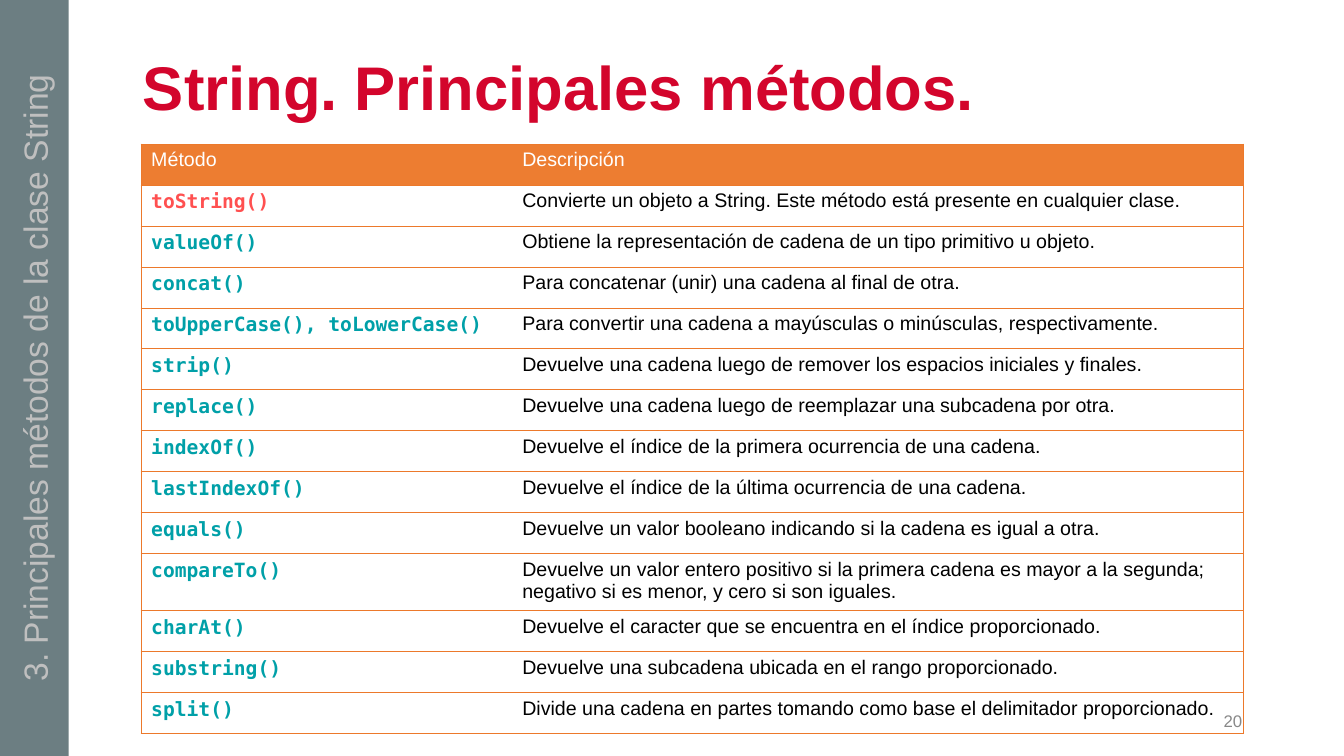
from pptx import Presentation
from pptx.dml.color import RGBColor
from pptx.enum.shapes import MSO_SHAPE
from pptx.enum.text import MSO_ANCHOR as Anchor, PP_ALIGN as Align
from pptx.oxml import parse_xml
from pptx.oxml.ns import nsdecls
from pptx.util import Inches, Pt

COLORS = {
    "title": "D3052C", "sidebar": "6C7E82", "sidebar_text": "BFBFBF",
    "number": "888888", "header": "ED7D31", "border": "EC792B",
    "white": "FFFFFF", "black": "000000", "highlight": "FF5050", "method": "00A0A8",
}
METHODS = [
    ("toString()", "Convierte un objeto a String. Este método está presente en cualquier clase."),
    ("valueOf()", "Obtiene la representación de cadena de un tipo primitivo u objeto."),
    ("concat()", "Para concatenar (unir) una cadena al final de otra."),
    ("toUpperCase(), toLowerCase()", "Para convertir una cadena a mayúsculas o minúsculas, respectivamente."),
    ("strip()", "Devuelve una cadena luego de remover los espacios iniciales y finales."),
    ("replace()", "Devuelve una cadena luego de reemplazar una subcadena por otra."),
    ("indexOf()", "Devuelve el índice de la primera ocurrencia de una cadena."),
    ("lastIndexOf()", "Devuelve el índice de la última ocurrencia de una cadena."),
    ("equals()", "Devuelve un valor booleano indicando si la cadena es igual a otra."),
    ("compareTo()", "Devuelve un valor entero positivo si la primera cadena es mayor a la segunda; "
                    "negativo si es menor, y cero si son iguales."),
    ("charAt()", "Devuelve el caracter que se encuentra en el índice proporcionado."),
    ("substring()", "Devuelve una subcadena ubicada en el rango proporcionado."),
    ("split()", "Divide una cadena en partes tomando como base el delimitador proporcionado."),
]
COLUMN_WIDTHS = (3.68, 7.25)
ROW_HEIGHT = 5.69 / 14


def write(frame, text, size, color, font="Arial", bold=False, align=Align.LEFT,
          anchor=Anchor.MIDDLE, spacing=None):
    frame.word_wrap = True
    frame.vertical_anchor = anchor
    paragraph = frame.paragraphs[0]
    paragraph.alignment = align
    paragraph.line_spacing = spacing
    run = paragraph.add_run()
    run.text = text
    run.font.size = Pt(size)
    run.font.name = font
    run.font.bold = bold
    run.font.color.rgb = RGBColor.from_string(COLORS[color])


def set_borders(cell, hidden_side):
    """Draw the cell's edges, except the one it shares with its neighbour in the row."""
    properties = cell._tc.get_or_add_tcPr()
    for index, side in enumerate("LRTB"):
        paint = "<a:noFill/>" if side == hidden_side else (
            f'<a:solidFill><a:srgbClr val="{COLORS["border"]}"/></a:solidFill>')
        line = f'<a:ln{side} {nsdecls("a")} w="{Pt(0.75)}">{paint}</a:ln{side}>'
        properties.insert(index, parse_xml(line))


presentation = Presentation()
presentation.slide_width = Inches(13.33)
presentation.slide_height = Inches(7.5)
slide = presentation.slides.add_slide(presentation.slide_layouts[6])

title = slide.shapes.add_textbox(Inches(1.32), Inches(0.47), Inches(11.1), Inches(0.86))
write(title.text_frame, "String. Principales métodos.", 44, "title", bold=True, spacing=0.9)

number = slide.shapes.add_textbox(Inches(9.42), Inches(6.95), Inches(3), Inches(0.4))
write(number.text_frame, "20", 12, "number", align=Align.RIGHT)

sidebar = slide.shapes.add_shape(MSO_SHAPE.RECTANGLE, 0, 0, Inches(0.68), presentation.slide_height)
sidebar.shadow.inherit = False
sidebar.fill.solid()
sidebar.fill.fore_color.rgb = RGBColor.from_string(COLORS["sidebar"])
sidebar.line.fill.background()
write(sidebar.text_frame, "3. Principales métodos de la clase String", 24, "sidebar_text",
      align=Align.CENTER)
sidebar.text_frame._txBody.bodyPr.set("vert", "vert270")

rows = [("Método", "Descripción"), *METHODS]
table = slide.shapes.add_table(len(rows), 2, Inches(1.4), Inches(1.43), Inches(sum(COLUMN_WIDTHS)),
                               Inches(ROW_HEIGHT * len(rows))).table
table.first_row = table.horz_banding = False
for column, width in zip(table.columns, COLUMN_WIDTHS):
    column.width = Inches(width)

for row_index, texts in enumerate(rows):
    table.rows[row_index].height = Inches(ROW_HEIGHT)
    for column_index, text in enumerate(texts):
        cell = table.cell(row_index, column_index)
        if row_index == 0:
            cell.fill.solid()
            cell.fill.fore_color.rgb = RGBColor.from_string(COLORS["header"])
            style = {"color": "white"}
        else:
            cell.fill.background()
            style = {"color": "black"}
            if column_index == 0:
                style = {"color": "highlight" if row_index == 1 else "method",
                         "font": "DejaVu Sans Mono", "bold": True}
        set_borders(cell, hidden_side="RL"[column_index])
        write(cell.text_frame, text, 14, anchor=Anchor.TOP, **style)

presentation.save("out.pptx")
